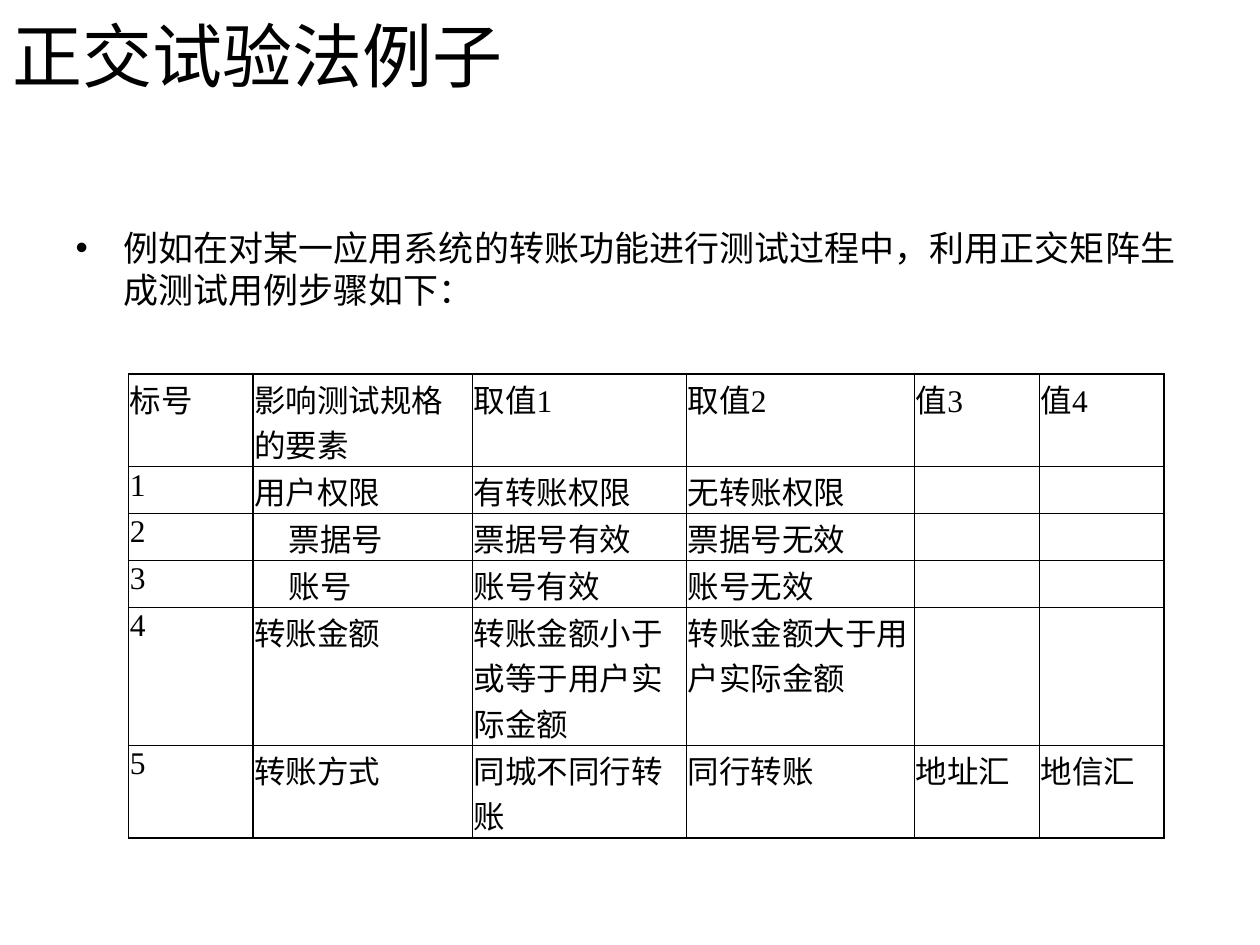
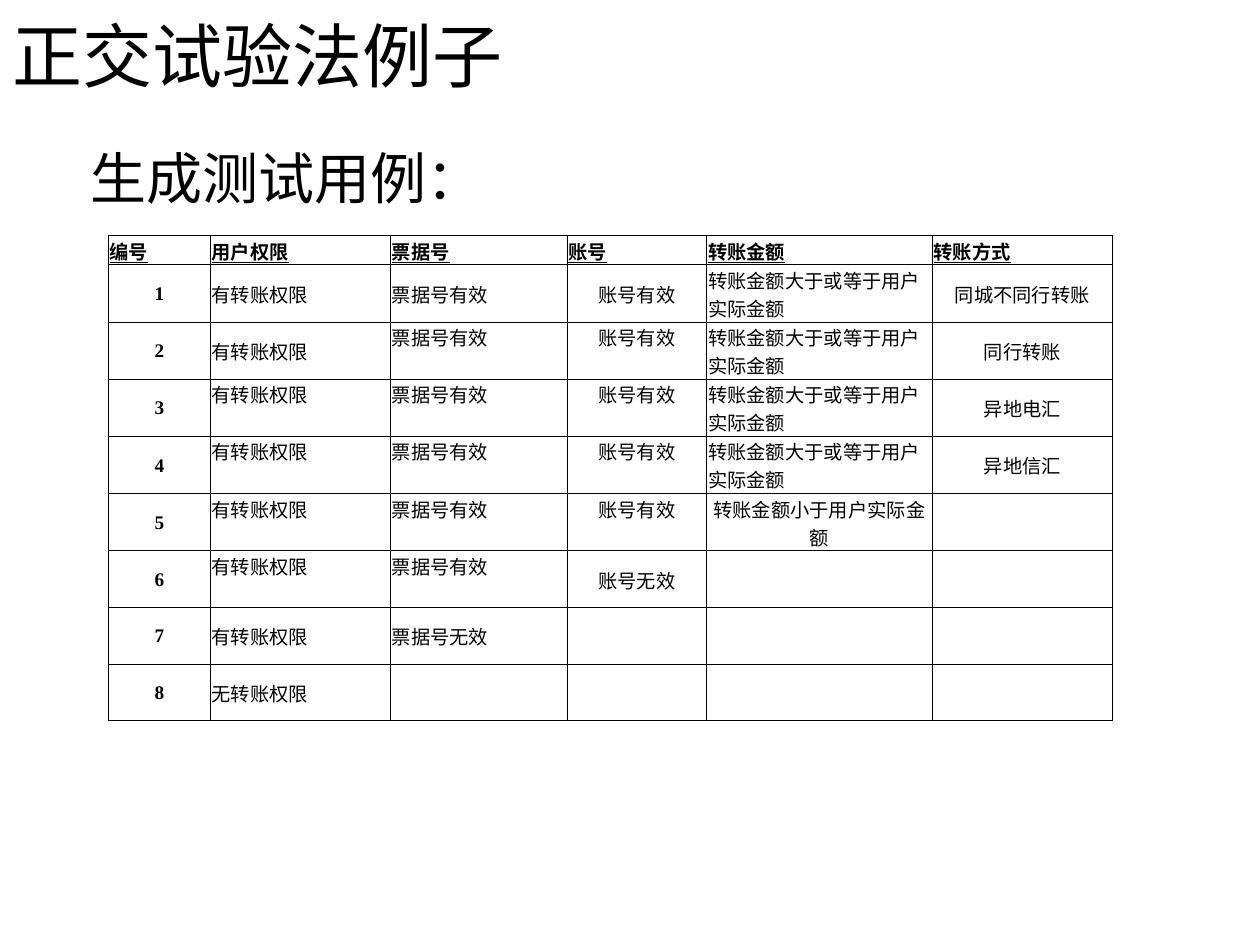
import pptx
import pptx.dml.color
import pptx.enum.text
import pptx.util
from pptx.oxml.ns import qn
from lxml import etree

Inches = pptx.util.Inches
Pt = pptx.util.Pt
ANCHOR = pptx.enum.text.MSO_ANCHOR
CENTER = pptx.enum.text.PP_ALIGN.CENTER

BLACK = "000000"
WHITE = "FFFFFF"
HEADING_FONT = "Calibri"
CJK_FONT = "Noto Sans CJK SC"
DIGIT_FONT = "Times New Roman"

TITLE = "正交试验法例子"
TITLE_BOX = (0, 0.07, 9, 0.72)

# A tuple in a cell holds the separate runs of its text.
FACTORS = {
    "intro": "例如在对某一应用系统的转账功能进行测试过程中，利用正交矩阵生成测试用例步骤如下：",
    "intro_box": (0.5, 1.75, 9, 0.83),
    "intro_size": 20,
    "bullet": True,
    "origin": (1.02, 2.97),
    "columns": [0.99, 1.74, 1.7, 1.81, 0.99, 0.99],
    "row_heights": [0.69, 0.35, 0.35, 0.35, 1.03, 0.69],
    "size": 18,
    "rows": [
        ["标号", "影响测试规格的要素", ("取值", "1"), ("取值", "2"), ("值", "3"), ("值", "4")],
        ["1", "用户权限", "有转账权限", "无转账权限", "", ""],
        ["2", "票据号", "票据号有效", "票据号无效", "", ""],
        ["3", "账号", "账号有效", "账号无效", "", ""],
        ["4", "转账金额", "转账金额小于或等于用户实际金额", "转账金额大于用户实际金额", "", ""],
        ["5", "转账方式", "同城不同行转账", "同行转账", "地址汇", "地信汇"],
    ],
}
INDENTED_FACTORS = [(2, 1), (3, 1)]

ALLOWED, VALID_BILL, VALID_ACCOUNT = "有转账权限", "票据号有效", "账号有效"
ENOUGH = "转账金额大于或等于用户实际金额"
METHODS = ["同城不同行转账", "同行转账", "异地电汇", "异地信汇"]
CASES = {
    "intro": "生成测试用例：",
    "intro_box": (0.62, 1.09, 9, 0.75),
    "intro_size": 32,
    "bullet": False,
    "origin": (0.86, 1.87),
    "columns": [0.81, 1.43, 1.4, 1.11, 1.79, 1.43],
    "row_heights": [0.23] + [0.45] * 8,
    "size": 11,
    "rows": [
        ["编号", "用户权限", "票据号", "账号", "转账金额", "转账方式"],
        *([str(number), ALLOWED, VALID_BILL, VALID_ACCOUNT, ENOUGH, method]
          for number, method in enumerate(METHODS, 1)),
        ["5", ALLOWED, VALID_BILL, VALID_ACCOUNT, "转账金额小于用户实际金额", ""],
        ["6", ALLOWED, VALID_BILL, "账号无效", "", ""],
        ["7", ALLOWED, "票据号无效", "", "", ""],
        ["8", "无转账权限", "", "", "", ""],
    ],
}
CENTERED_CASE_COLUMNS = (0, 3, 5)
SHORTFALL_CELL = (5, 4)
# Column -> rows whose text sits at the top of the cell
TOP_CASE_ROWS = {1: range(3, 7), 2: range(2, 7), 3: range(2, 6), 4: range(1, 5)}


def color(value):
    return pptx.dml.color.RGBColor.from_string(value)


def add_run(paragraph, text, size, font, east_asian_font=CJK_FONT):
    run = paragraph.add_run()
    run.text = text
    run.font.size = Pt(size)
    run.font.name = font
    run.font.color.rgb = color(BLACK)
    east_asian = etree.Element(qn("a:ea"), typeface=east_asian_font)
    run.font._element.find(qn("a:latin")).addnext(east_asian)
    return run


def place(shape, box):
    shape.left, shape.top, shape.width, shape.height = map(Inches, box)
    frame = shape.text_frame
    frame.auto_size = pptx.enum.text.MSO_AUTO_SIZE.NONE
    frame.word_wrap = True
    frame.vertical_anchor = ANCHOR.MIDDLE
    return frame.paragraphs[0]


def add_title(slide):
    paragraph = place(slide.shapes.title, TITLE_BOX)
    paragraph.alignment = pptx.enum.text.PP_ALIGN.LEFT
    add_run(paragraph, TITLE, 40, HEADING_FONT)


def add_intro(slide, content):
    paragraph = place(slide.placeholders[1], content["intro_box"])
    slide.placeholders[1].text_frame.vertical_anchor = ANCHOR.TOP
    properties = paragraph._p.get_or_add_pPr()
    properties.set("marL", str(Inches(0.38)))
    properties.set("indent", str(Inches(-0.38)))
    if content["bullet"]:
        etree.SubElement(properties, qn("a:buChar"), char="•")
    else:
        etree.SubElement(properties, qn("a:buNone"))
    add_run(paragraph, content["intro"], content["intro_size"], HEADING_FONT, HEADING_FONT)


def set_borders(cell, widths):
    """Draw left, right, top and bottom borders with the given point widths."""
    properties = cell._tc.get_or_add_tcPr()
    for index, (side, width) in enumerate(zip("LRTB", widths)):
        line = etree.Element(qn(f"a:ln{side}"), w=str(Pt(width)))
        fill = etree.SubElement(line, qn("a:solidFill"))
        etree.SubElement(fill, qn("a:srgbClr"), val=BLACK)
        properties.insert(index, line)


def add_grid(slide, content):
    rows, columns, heights = content["rows"], content["columns"], content["row_heights"]
    box = (*content["origin"], sum(columns), sum(heights))
    table = slide.shapes.add_table(len(rows), len(columns), *map(Inches, box)).table
    table.first_row = table.horz_banding = False
    for column, width in zip(table.columns, columns):
        column.width = Inches(width)
    for row, height in zip(table.rows, heights):
        row.height = Inches(height)
    for row_index, row in enumerate(rows):
        for column_index, value in enumerate(row):
            cell = table.cell(row_index, column_index)
            cell.fill.solid()
            cell.fill.fore_color.rgb = color(WHITE)
            cell.margin_left = cell.margin_top = cell.margin_right = Inches(0.01)
            cell.margin_bottom = 0
            paragraph = cell.text_frame.paragraphs[0]
            for text in (value if isinstance(value, tuple) else (value,)):
                if text:
                    font = DIGIT_FONT if text.isdigit() else CJK_FONT
                    add_run(paragraph, text, content["size"], font)
    return table


def style_factors(table):
    for row in table.rows:
        for cell in row.cells:
            set_borders(cell, (1, 1, 1, 1))
    for position in INDENTED_FACTORS:
        table.cell(*position).margin_left = Inches(0.28)


def style_cases(table):
    """Thicken the outer frame and align each test case."""
    last_row, last_column = len(table.rows) - 1, len(table.columns) - 1
    for row_index, row in enumerate(table.rows):
        for column_index, cell in enumerate(row.cells):
            outer = (column_index == 0, column_index == last_column,
                     row_index == 0, row_index == last_row)
            set_borders(cell, [1 if edge else 0.5 for edge in outer])
            is_top = row_index in TOP_CASE_ROWS.get(column_index, ())
            cell.vertical_anchor = ANCHOR.TOP if is_top else ANCHOR.MIDDLE
            paragraph = cell.text_frame.paragraphs[0]
            is_header = row_index == 0
            if not is_header and (column_index in CENTERED_CASE_COLUMNS
                                  or (row_index, column_index) == SHORTFALL_CELL):
                paragraph.alignment = CENTER
            for run in paragraph.runs:
                run.font.bold = is_header or column_index == 0
                run.font.underline = is_header


def main():
    presentation = pptx.Presentation()
    presentation.slide_width, presentation.slide_height = Inches(10), Inches(7.5)
    for content, style in ((FACTORS, style_factors), (CASES, style_cases)):
        slide = presentation.slides.add_slide(presentation.slide_layouts[1])
        add_title(slide)
        add_intro(slide, content)
        style(add_grid(slide, content))
    presentation.save("out.pptx")


if __name__ == "__main__":
    main()
